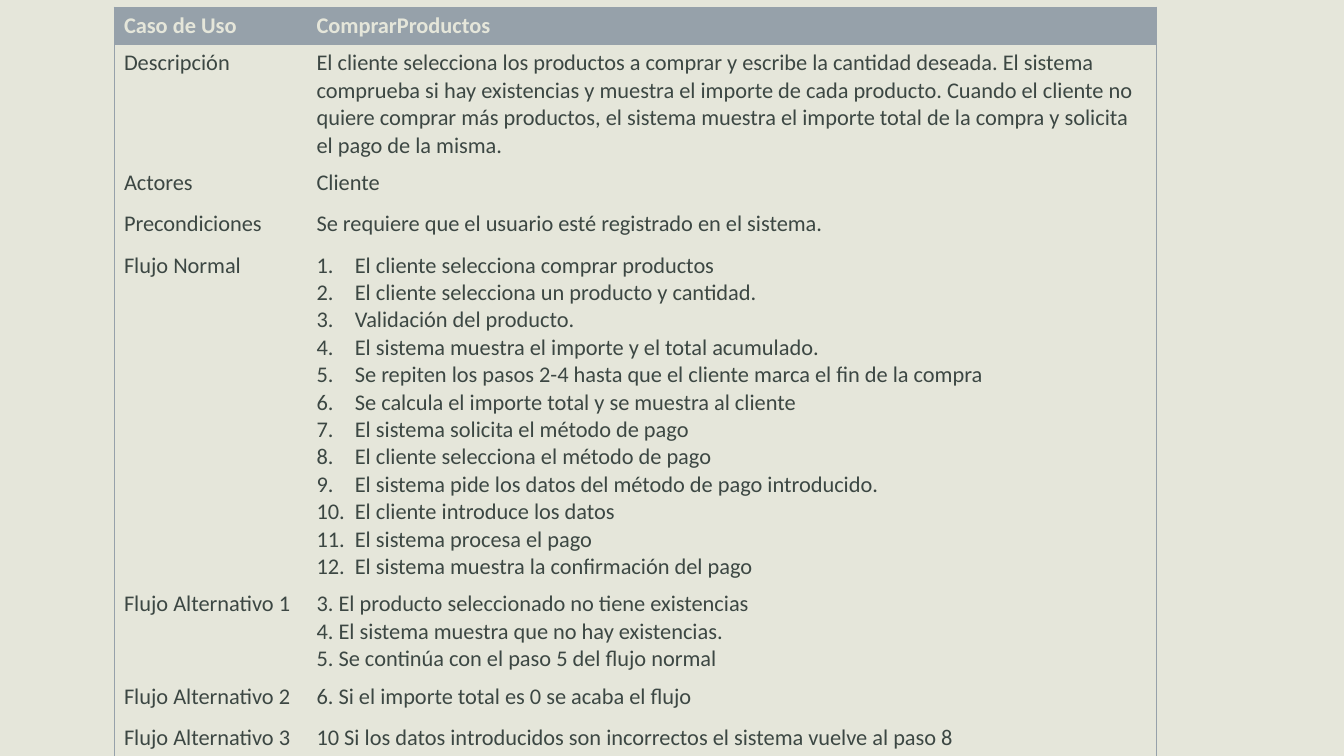
from lxml import etree
from pptx import Presentation
from pptx.dml.color import RGBColor
from pptx.oxml.ns import qn
from pptx.util import Inches, Pt

COLORS = {"background": "E5E6DA", "accent": "96A1AA", "text": "3C4743"}

FLOW_STEPS = [
    "El cliente selecciona comprar productos",
    "El cliente selecciona un producto y cantidad.",
    "Validación del producto.",
    "El sistema muestra el importe y el total acumulado.",
    "Se repiten los pasos 2-4 hasta que el cliente marca el fin de la compra",
    "Se calcula el importe total y se muestra al cliente",
    "El sistema solicita el método de pago",
    "El cliente selecciona el método de pago",
    "El sistema pide los datos del método de pago introducido.",
    "El cliente introduce los datos",
    "El sistema procesa el pago",
    "El sistema muestra la confirmación del pago",
]

USE_CASE = [
    ("Caso de Uso", ["ComprarProductos"]),
    ("Descripción", [
        "El cliente selecciona los productos a comprar y escribe la cantidad "
        "deseada. El sistema comprueba si hay existencias y muestra el importe "
        "de cada producto. Cuando el cliente no quiere comprar más productos, "
        "el sistema muestra el importe total de la compra y solicita el pago "
        "de la misma."]),
    ("Actores", ["Cliente"]),
    ("Precondiciones",
     ["Se requiere que el usuario esté registrado en el sistema."]),
    ("Flujo Normal", FLOW_STEPS),
    ("Flujo Alternativo 1", [
        "3. El producto seleccionado no tiene existencias",
        "4. El sistema muestra que no hay existencias.",
        "5. Se continúa con el paso 5 del flujo normal"]),
    ("Flujo Alternativo 2", ["6. Si el importe total es 0 se acaba el flujo"]),
    ("Flujo Alternativo 3", [
        "10 Si los datos introducidos son incorrectos el sistema vuelve al paso 8"]),
]


def rgb(name):
    return RGBColor.from_string(COLORS[name])


def add_text(p, content, color="text", size=16, bold=False, numbered=False):
    if numbered:
        pPr = p._p.get_or_add_pPr()
        pPr.set("marL", str(Inches(0.38)))
        pPr.set("indent", str(-Inches(0.38)))
        etree.SubElement(pPr, qn("a:buFont"), typeface="+mj-lt")
        etree.SubElement(pPr, qn("a:buAutoNum"), type="arabicPeriod")
    r = p.add_run()
    r.text = content
    r.font.name = "Calibri"
    r.font.size = Pt(size)
    r.font.bold = bold
    r.font.color.rgb = rgb(color)


def set_borders(cell, visible):
    """Draw the sides named in visible (letters of LRTB) and clear the others."""
    tcPr = cell._tc.get_or_add_tcPr()
    for side in "LRTB":
        ln = etree.SubElement(tcPr, qn("a:ln" + side), w=str(Pt(0.5)))
        if side in visible:
            fill = etree.SubElement(ln, qn("a:solidFill"))
            etree.SubElement(fill, qn("a:srgbClr"), val=COLORS["accent"])
        else:
            etree.SubElement(ln, qn("a:noFill"))


class SlideBuilder:
    def __init__(self, prs):
        self.s = prs.slides.add_slide(prs.slide_layouts[6])
        fill = self.s.background.fill
        fill.solid()
        fill.fore_color.rgb = rgb("background")

    def cell(self, cell, lines, header, borders, numbered=False):
        set_borders(cell, borders)
        if header:
            cell.fill.solid()
            cell.fill.fore_color.rgb = rgb("accent")
        else:
            cell.fill.background()
        tf = cell.text_frame
        for i, line in enumerate(lines):
            p = tf.add_paragraph() if i else tf.paragraphs[0]
            add_text(p, line, color="background" if header else "text",
                     bold=header, numbered=numbered)

    def use_case_table(self, rows, left, top, widths, header_height, row_height):
        height = header_height + row_height * (len(rows) - 1)
        frame = self.s.shapes.add_table(
            len(rows), len(widths), Inches(left), Inches(top),
            Inches(sum(widths)), Inches(height))
        table = frame.table
        table.first_row = table.horz_banding = False
        for column, width in zip(table.columns, widths):
            column.width = Inches(width)
        for i, (label, lines) in enumerate(rows):
            header = i == 0
            table.rows[i].height = Inches(header_height if header else row_height)
            edges = ("T" if header else "") + ("B" if i == len(rows) - 1 else "")
            self.cell(table.cell(i, 0), [label], header, "L" + edges)
            self.cell(table.cell(i, 1), lines, header, "R" + edges,
                      numbered=lines is FLOW_STEPS)


def main():
    prs = Presentation()
    prs.slide_width, prs.slide_height = Inches(13.33), Inches(7.5)
    SlideBuilder(prs).use_case_table(
        USE_CASE, left=1.13, top=0.07, widths=[1.91, 8.43],
        header_height=0.32, row_height=0.41)
    prs.save("out.pptx")


if __name__ == "__main__":
    main()
